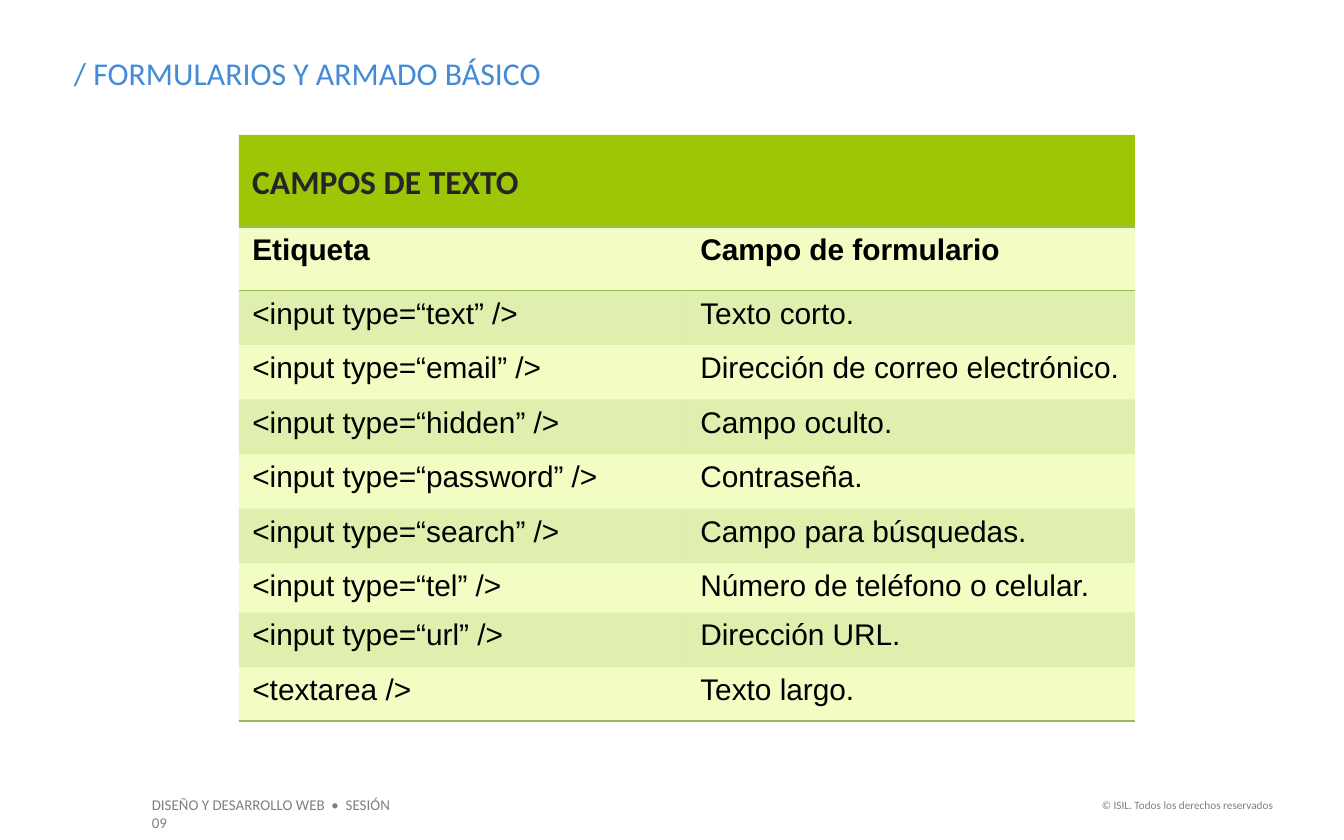
from typing import NamedTuple

from lxml import etree
from pptx import Presentation
from pptx.dml.color import RGBColor
from pptx.enum.shapes import MSO_SHAPE
from pptx.enum.text import MSO_ANCHOR, MSO_AUTO_SIZE, PP_ALIGN
from pptx.oxml.ns import qn
from pptx.util import Pt

RECTANGLE = MSO_SHAPE.RECTANGLE
TOP, MIDDLE = MSO_ANCHOR.TOP, MSO_ANCHOR.MIDDLE
LEFT, RIGHT = PP_ALIGN.LEFT, PP_ALIGN.RIGHT
NO_AUTOFIT = MSO_AUTO_SIZE.NONE
TITLE_ONLY = 5
PLAIN_TABLE_STYLE = "{2D5ABB26-0587-4C30-8999-92F81FD0307C}"
GREEN, GRAY = "9BBB59", "7F7F7F"


class Box(NamedTuple):
    left: float
    top: float
    width: float
    height: float

    def lengths(self):
        return [Pt(value) for value in self]


class Style(NamedTuple):
    font: str
    size: float
    color: str
    bold: bool = False
    align: PP_ALIGN = LEFT
    anchor: MSO_ANCHOR = TOP


class Footer(NamedTuple):
    text: str
    box: Box
    style: Style


class Field(NamedTuple):
    tag: str
    meaning: str
    height: float = 29.2


FOOTERS = [
    Footer("DISEÑO Y DESARROLLO WEB  •  SESIÓN 09", Box(74.2, 422.6, 151.9, 17.3),
           Style("Calibri", 8, GRAY)),
    Footer("© ISIL. Todos los derechos reservados", Box(581, 424.1, 108, 14.4),
           Style("Calibri", 6, GRAY, align=RIGHT)),
]
FIELDS = [
    Field("Etiqueta", "Campo de formulario", 34),
    Field("<input type=“text” />", "Texto corto."),
    Field("<input type=“email” />", "Dirección de correo electrónico."),
    Field("<input type=“hidden” />", "Campo oculto."),
    Field("<input type=“password” />", "Contraseña."),
    Field("<input type=“search” />", "Campo para búsquedas."),
    Field("<input type=“tel” />", "Número de teléfono o celular.", 26),
    Field("<input type=“url” />", "Dirección URL."),
    Field("<textarea />", "Texto largo."),
]
PANEL = Box(128, 121.6, 480, 264.4)
HEADING = Box(PANEL.left, 72.3, PANEL.width, 49.3)


def rgb(color: str) -> RGBColor:
    return RGBColor.from_string(color)


def write(frame, text: str, style: Style) -> None:
    frame.text = text
    frame.word_wrap = True
    frame.vertical_anchor = style.anchor
    paragraph = frame.paragraphs[0]
    paragraph.alignment = style.align
    font = paragraph.runs[0].font
    font.name = style.font
    font.size = Pt(style.size)
    font.bold = style.bold
    font.color.rgb = rgb(style.color)


def add_block(slide, box: Box, color: str):
    block = slide.shapes.add_shape(RECTANGLE, *box.lengths())
    block.shadow.inherit = False
    block.fill.solid()
    block.fill.fore_color.rgb = rgb(color)
    block.line.fill.background()
    return block


def tint_cell(cell, color: str, opacity: int) -> None:
    cell.fill.solid()
    cell.fill.fore_color.rgb = rgb(color)
    shade = cell.fill._xPr.find(".//" + qn("a:srgbClr"))
    etree.SubElement(shade, qn("a:alpha")).set("val", str(opacity * 1000))


def add_borders(cell, sides: list[str], color: str) -> None:
    properties = cell._tc.get_or_add_tcPr()
    for position, side in enumerate(sides):
        line = etree.Element(qn(f"a:{side}"), w=str(Pt(1)))
        fill = etree.SubElement(line, qn("a:solidFill"))
        etree.SubElement(fill, qn("a:srgbClr"), val=color)
        properties.insert(position, line)


def add_fields(slide, fields: list[Field], box: Box) -> None:
    frame = slide.shapes.add_table(len(fields), 2, *box.lengths())
    frame._element.find(".//" + qn("a:tableStyleId")).text = PLAIN_TABLE_STYLE
    table = frame.table
    table.first_row = False
    table.horz_banding = False
    for row, field in enumerate(fields):
        table.rows[row].height = Pt(field.height)
        sides = {0: ["lnT", "lnB"], len(fields) - 1: ["lnB"]}.get(row, [])
        for column, text in enumerate((field.tag, field.meaning)):
            cell = table.cell(row, column)
            write(cell.text_frame, text, Style("Arial", 16, "000000", bold=row == 0))
            if row % 2:
                tint_cell(cell, GREEN, 20)
            else:
                cell.fill.background()
            add_borders(cell, sides, GREEN)


def main() -> None:
    deck = Presentation()
    deck.slide_width, deck.slide_height = Pt(720), Pt(450)
    slide = deck.slides.add_slide(deck.slide_layouts[TITLE_ONLY])

    title = slide.shapes.title
    title.left, title.top, title.width, title.height = Box(32.4, 25.2, 567.4, 28).lengths()
    write(title.text_frame, "/ FORMULARIOS Y ARMADO BÁSICO", Style("Calibri", 17, "438AD7"))
    title.text_frame.auto_size = NO_AUTOFIT

    for footer in FOOTERS:
        note = slide.shapes.add_textbox(*footer.box.lengths())
        write(note.text_frame, footer.text, footer.style)

    add_block(slide, PANEL, "F1FDC3")
    heading = add_block(slide, HEADING, "9CC606")
    write(heading.text_frame, "CAMPOS DE TEXTO",
          Style("Calibri", 18, "262626", bold=True, anchor=MIDDLE))
    add_fields(slide, FIELDS, PANEL)

    deck.save("out.pptx")


if __name__ == "__main__":
    main()
